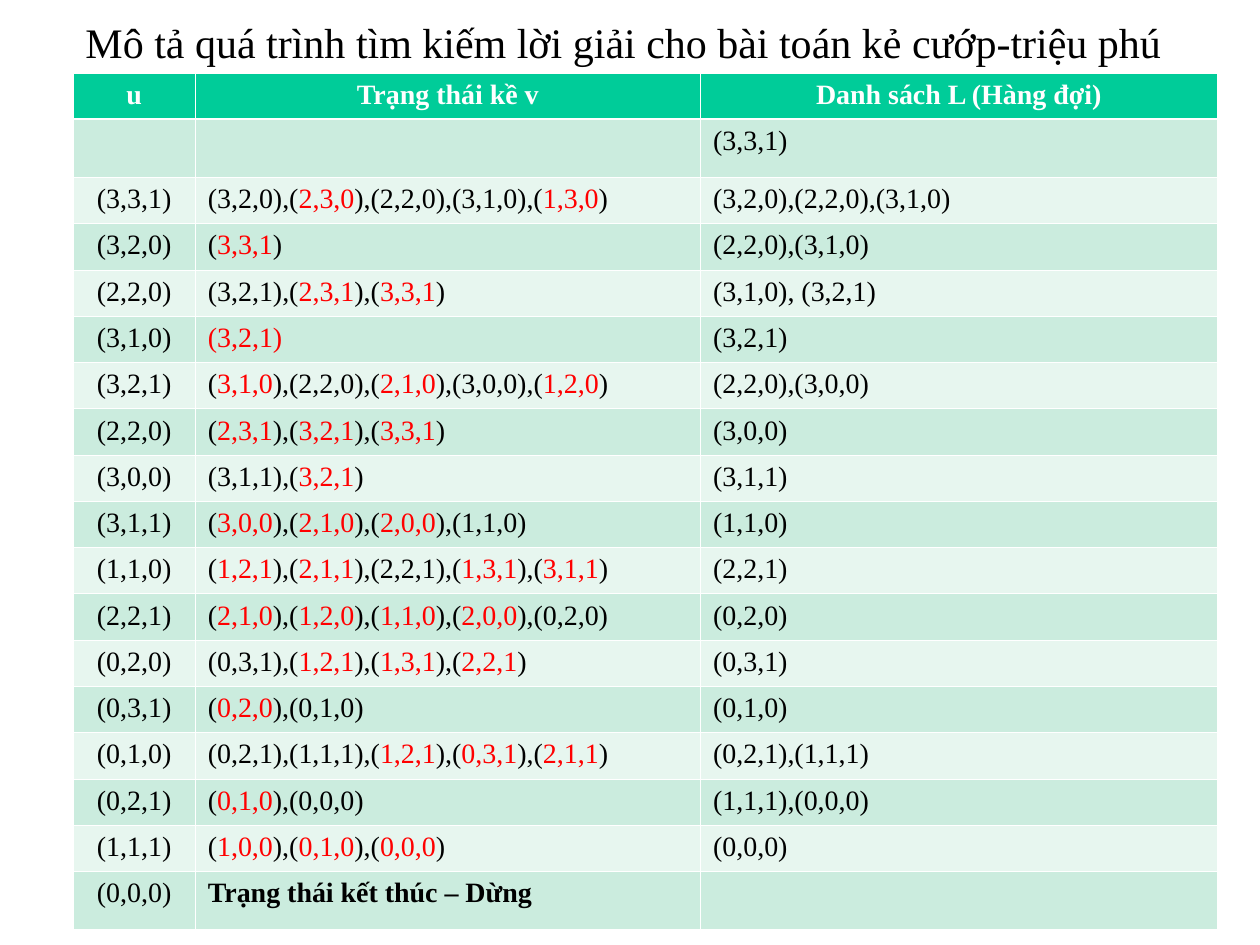
"""Build the slide that traces the robber-millionaire state search."""
import dataclasses

import lxml.etree
import pptx
import pptx.dml.color
import pptx.enum.text
import pptx.oxml.ns
import pptx.util

Inches = pptx.util.Inches
Pt = pptx.util.Pt
ALIGN = pptx.enum.text.PP_ALIGN


@dataclasses.dataclass(frozen=True)
class Theme:
    """Colours, font and type sizes of the slide."""
    font: str = "Times New Roman"
    title_size: int = 24
    cell_size: int = 16
    ink: str = "000000"
    repeated: str = "FF0000"
    white: str = "FFFFFF"
    header: str = "00CC99"
    bands: tuple = ("E7F6EF", "CBECDE")
    thin: float = 0.45
    thick: float = 1.47


THEME = Theme()
TITLE = "Mô tả quá trình tìm kiếm lời giải cho bài toán kẻ cướp-triệu phú"
LEFT, WIDTH = 0.58, 9.08
COLUMN_WIDTHS = (0.97, 4.01, 4.1)
ROW_HEIGHT = 6.25 / 17
TALL_ROW_HEIGHT = 0.46
MARK = "*"
HEADINGS = ("u", "Trạng thái kề v", "Danh sách L (Hàng đợi)")
END_STATE = "Trạng thái kết thúc – Dừng"
STEPS = (
    ("", "", "(3,3,1)"),
    ("(3,3,1)", "(3,2,0),(*2,3,0*),(2,2,0),(3,1,0),(*1,3,0*)", "(3,2,0),(2,2,0),(3,1,0)"),
    ("(3,2,0)", "(*3,3,1*)", "(2,2,0),(3,1,0)"),
    ("(2,2,0)", "(3,2,1),(*2,3,1*),(*3,3,1*)", "(3,1,0), (3,2,1)"),
    ("(3,1,0)", "*(3,2,1)*", "(3,2,1)"),
    ("(3,2,1)", "(*3,1,0*),(2,2,0),(*2,1,0*),(3,0,0),(*1,2,0*)", "(2,2,0),(3,0,0)"),
    ("(2,2,0)", "(*2,3,1*),(*3,2,1*),(*3,3,1*)", "(3,0,0)"),
    ("(3,0,0)", "(3,1,1),(*3,2,1*)", "(3,1,1)"),
    ("(3,1,1)", "(*3,0,0*),(*2,1,0*),(*2,0,0*),(1,1,0)", "(1,1,0)"),
    ("(1,1,0)", "(*1,2,1*),(*2,1,1*),(2,2,1),(*1,3,1*),(*3,1,1*)", "(2,2,1)"),
    ("(2,2,1)", "(*2,1,0*),(*1,2,0*),(*1,1,0*),(*2,0,0*),(0,2,0)", "(0,2,0)"),
    ("(0,2,0)", "(0,3,1),(*1,2,1*),(*1,3,1*),(*2,2,1*)", "(0,3,1)"),
    ("(0,3,1)", "(*0,2,0*),(0,1,0)", "(0,1,0)"),
    ("(0,1,0)", "(0,2,1),(1,1,1),(*1,2,1*),(*0,3,1*),(*2,1,1*)", "(0,2,1),(1,1,1)"),
    ("(0,2,1)", "(*0,1,0*),(0,0,0)", "(1,1,1),(0,0,0)"),
    ("(1,1,1)", "(*1,0,0*),(*0,1,0*),(*0,0,0*)", "(0,0,0)"),
    ("(0,0,0)", END_STATE, ""),
)


def set_values(target, values):
    """Set each named attribute of the target."""
    for name, value in values.items():
        setattr(target, name, value)


def rgb(colour):
    """Return a colour object for a hex value."""
    return pptx.dml.color.RGBColor.from_string(colour)


def write_marked(para, text, size, colour, bold=False):
    """Write text as spans, with the marked parts in the repeated-state colour."""
    for index, part in enumerate(text.split(MARK)):
        if part:
            span = para.add_run()
            span.text = part
            set_values(span.font, {"name": THEME.font, "size": Pt(size), "bold": bold})
            span.font.color.rgb = rgb(THEME.repeated if index % 2 else colour)


def set_borders(cell, widths):
    """Draw white borders with the given widths by side."""
    properties = cell._tc.get_or_add_tcPr()
    qn = pptx.oxml.ns.qn
    for side, width in widths.items():
        line = lxml.etree.SubElement(properties, qn("a:ln" + side), w=str(int(Pt(width))))
        fill = lxml.etree.SubElement(line, qn("a:solidFill"))
        lxml.etree.SubElement(fill, qn("a:srgbClr"), val=THEME.white)


def fill_cell(cell, text, row, column):
    """Style one table cell by its row and column and write its text."""
    is_header = row == 0
    set_borders(cell, {
        "L": THEME.thin,
        "R": THEME.thin,
        "T": THEME.thick if row == 1 else THEME.thin,
        "B": THEME.thick if is_header else THEME.thin,
    })
    cell.fill.solid()
    cell.fill.fore_color.rgb = rgb(THEME.header if is_header else THEME.bands[row % 2])
    para = cell.text_frame.paragraphs[0]
    para.alignment = ALIGN.CENTER if is_header or column == 0 else ALIGN.LEFT
    colour = THEME.white if is_header else THEME.ink
    write_marked(para, text, THEME.cell_size, colour, is_header or text == END_STATE)


def add_steps(page):
    """Add the table of search steps."""
    rows = (HEADINGS,) + STEPS
    heights = [ROW_HEIGHT if all(texts[:2]) and texts[2] else TALL_ROW_HEIGHT
               for texts in rows]
    frame = page.shapes.add_table(
        len(rows), len(HEADINGS), Inches(LEFT), Inches(0.58),
        Inches(WIDTH), Inches(sum(heights)))
    table = frame.table
    for column, width in zip(table.columns, COLUMN_WIDTHS):
        column.width = Inches(width)
    for row, (texts, height) in enumerate(zip(rows, heights)):
        table.rows[row].height = Inches(height)
        for column, text in enumerate(texts):
            fill_cell(table.cell(row, column), text, row, column)


def add_title(page):
    """Add the title text box."""
    box = page.shapes.add_textbox(Inches(LEFT), Inches(0.08), Inches(WIDTH), Inches(0.5))
    set_values(box.text_frame, {
        "word_wrap": True,
        "auto_size": pptx.enum.text.MSO_AUTO_SIZE.SHAPE_TO_FIT_TEXT,
    })
    write_marked(box.text_frame.paragraphs[0], TITLE, THEME.title_size, THEME.ink)


def main():
    """Build and save the deck."""
    deck = pptx.Presentation()
    set_values(deck, {"slide_width": Inches(10), "slide_height": Inches(7.5)})
    page = deck.slides.add_slide(deck.slide_layouts[6])
    add_steps(page)
    add_title(page)
    deck.save("out.pptx")


main()
